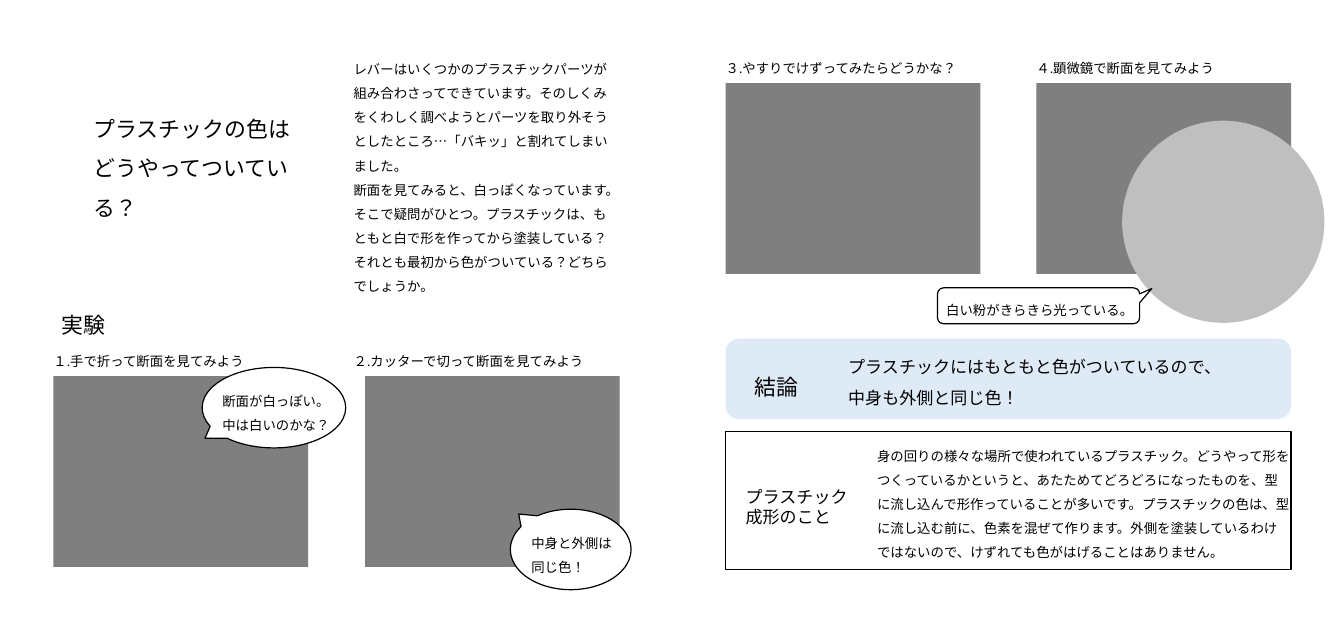
import pptx
import pptx.dml.color
import pptx.enum.lang
import pptx.enum.shapes
import pptx.enum.text
import pptx.util

Inches = pptx.util.Inches
RGBColor = pptx.dml.color.RGBColor
SHAPE = pptx.enum.shapes.MSO_SHAPE

BLACK = RGBColor(0x00, 0x00, 0x00)
WHITE = RGBColor(0xFF, 0xFF, 0xFF)
PHOTO_GRAY = RGBColor(0x7F, 0x7F, 0x7F)
LENS_GRAY = RGBColor(0xBF, 0xBF, 0xBF)
PALE_BLUE = RGBColor(0xDE, 0xEB, 0xF7)

FONT = "Calibri"
BODY, LEAD, TITLE = 11, 14, 18
CM_PER_INCH = 2.54
PHOTO_WIDTH, PHOTO_HEIGHT = 2.91, 2.18
HEADING_WIDTH, HEADING_HEIGHT = 3.04, 0.28
PHOTO_DROP = 0.35


def add_text(slide, box, paragraphs, size=BODY, padded=False, spacing=1.5):
    frame = slide.shapes.add_textbox(*map(Inches, box)).text_frame
    frame.word_wrap = True
    frame.auto_size = pptx.enum.text.MSO_AUTO_SIZE.SHAPE_TO_FIT_TEXT
    frame.margin_left = frame.margin_right = Inches(0.1 if padded else 0)
    frame.margin_top = frame.margin_bottom = Inches(0.05 if padded else 0)
    for index, words in enumerate(paragraphs):
        paragraph = frame.add_paragraph() if index else frame.paragraphs[0]
        paragraph.line_spacing = spacing
        run = paragraph.add_run()
        run.text = words
        run.font.name = FONT
        run.font.size = pptx.util.Pt(size)
        run.font.color.rgb = BLACK
        run.font.language_id = pptx.enum.lang.MSO_LANGUAGE_ID.JAPANESE


def add_area(slide, kind, box, fill=None, outlined=False, adjustments=()):
    area = slide.shapes.add_shape(kind, *map(Inches, box))
    area.shadow.inherit = False
    for index, value in enumerate(adjustments):
        area.adjustments[index] = value
    if fill is None:
        area.fill.background()
    else:
        area.fill.solid()
        area.fill.fore_color.rgb = fill
    if outlined:
        area.line.color.rgb = BLACK
        area.line.width = pptx.util.Pt(1)
    else:
        area.line.fill.background()


def add_introduction(slide, left, top):
    add_text(slide, (left, top + 0.51, 2.68, 1.45),
             ["プラスチックの色はどうやってついている？"], TITLE, padded=True)
    add_text(slide, (left + 3.07, top, 3.04, 2.75), [
        "レバーはいくつかのプラスチックパーツが組み合わさってできています。"
        "そのしくみをくわしく調べようとパーツを取り外そうとしたところ…"
        "「バキッ」と割れてしまいました。",
        "断面を見てみると、白っぽくなっています。そこで疑問がひとつ。"
        "プラスチックは、もともと白で形を作ってから塗装している？"
        "それとも最初から色がついている？どちらでしょうか。",
    ])


def add_experiment(slide, left, top, heading, photo_indent=0):
    add_text(slide, (left, top, HEADING_WIDTH, HEADING_HEIGHT), [heading])
    add_area(slide, SHAPE.RECTANGLE,
             (left + photo_indent, top + PHOTO_DROP, PHOTO_WIDTH, PHOTO_HEIGHT), PHOTO_GRAY)


def add_bubble(slide, box, kind, adjustments, words, text_indent, text_drop, text_width):
    left, top, width, height = box
    add_area(slide, kind, box, WHITE, True, adjustments)
    add_text(slide, (left + text_indent, top + text_drop, text_width,
                     HEADING_HEIGHT * len(words)), words)


def add_conclusion(slide, left, top, width, height):
    add_area(slide, SHAPE.ROUNDED_RECTANGLE, (left, top, width, height), PALE_BLUE)
    add_text(slide, (left + 0.23, top + 0.2, 0.73, 0.55), ["結論"], TITLE, padded=True)
    add_text(slide, (left + 1.4, top + 0.09, 4.41, 0.7),
             ["プラスチックにはもともと色がついているので、中身も外側と同じ色！"], LEAD)


def add_molding_note(slide, left, top, width, height):
    text_indent = 1.73
    add_area(slide, SHAPE.RECTANGLE, (left, top, width, height), outlined=True)
    add_text(slide, (left + text_indent, top + 0.1, width - text_indent, 1.38), [
        "身の回りの様々な場所で使われているプラスチック。"
        "どうやって形をつくっているかというと、あたためてどろどろになったものを、"
        "型に流し込んで形作っていることが多いです。"
        "プラスチックの色は、型に流し込む前に、色素を混ぜて作ります。"
        "外側を塗装しているわけではないので、けずれても色がはげることはありません。",
    ])
    add_text(slide, (left + 0.13, top + 0.58, 1.39, 0.57),
             ["プラスチック成形のこと"], LEAD, padded=True, spacing=1.0)


def main():
    presentation = pptx.Presentation()
    presentation.slide_width = Inches(39 / CM_PER_INCH)
    presentation.slide_height = Inches(18 / CM_PER_INCH)
    slide = presentation.slides.add_slide(presentation.slide_layouts[6])

    add_introduction(slide, 0.97, 0.61)
    add_text(slide, (0.61, 3.36, 0.73, 0.55), ["実験"], TITLE, padded=True)

    add_experiment(slide, 0.61, 3.95, "１.手で折って断面を見てみよう")
    add_experiment(slide, 4.04, 3.95, "２.カッターで切って断面を見てみよう", photo_indent=0.13)
    add_experiment(slide, 8.29, 0.6, "３.やすりでけずってみたらどうかな？")
    add_experiment(slide, 11.84, 0.6, "４.顕微鏡で断面を見てみよう")
    add_area(slide, SHAPE.OVAL, (12.82, 1.38, 2.31, 2.31), LENS_GRAY)

    add_bubble(slide, (2.31, 4.2, 1.64, 0.92), SHAPE.OVAL_CALLOUT, (-0.48, 0.38),
               ["断面が白っぽい。", "中は白いのかな？"], 0.23, 0.2, 1.34)
    add_bubble(slide, (5.83, 5.82, 1.38, 0.92), SHAPE.OVAL_CALLOUT, (-0.43, -0.44),
               ["中身と外側は", "同じ色！"], 0.24, 0.2, 0.98)
    add_bubble(slide, (10.71, 3.29, 2.31, 0.41), SHAPE.ROUNDED_RECTANGULAR_CALLOUT,
               (0.56, -0.48, 0.17), ["白い粉がきらきら光っている。"], 0.1, 0.07, 2.18)

    add_conclusion(slide, 8.29, 3.87, 6.46, 0.92)
    add_molding_note(slide, 8.29, 4.93, 6.46, 1.58)
    presentation.save("out.pptx")


if __name__ == "__main__":
    main()
